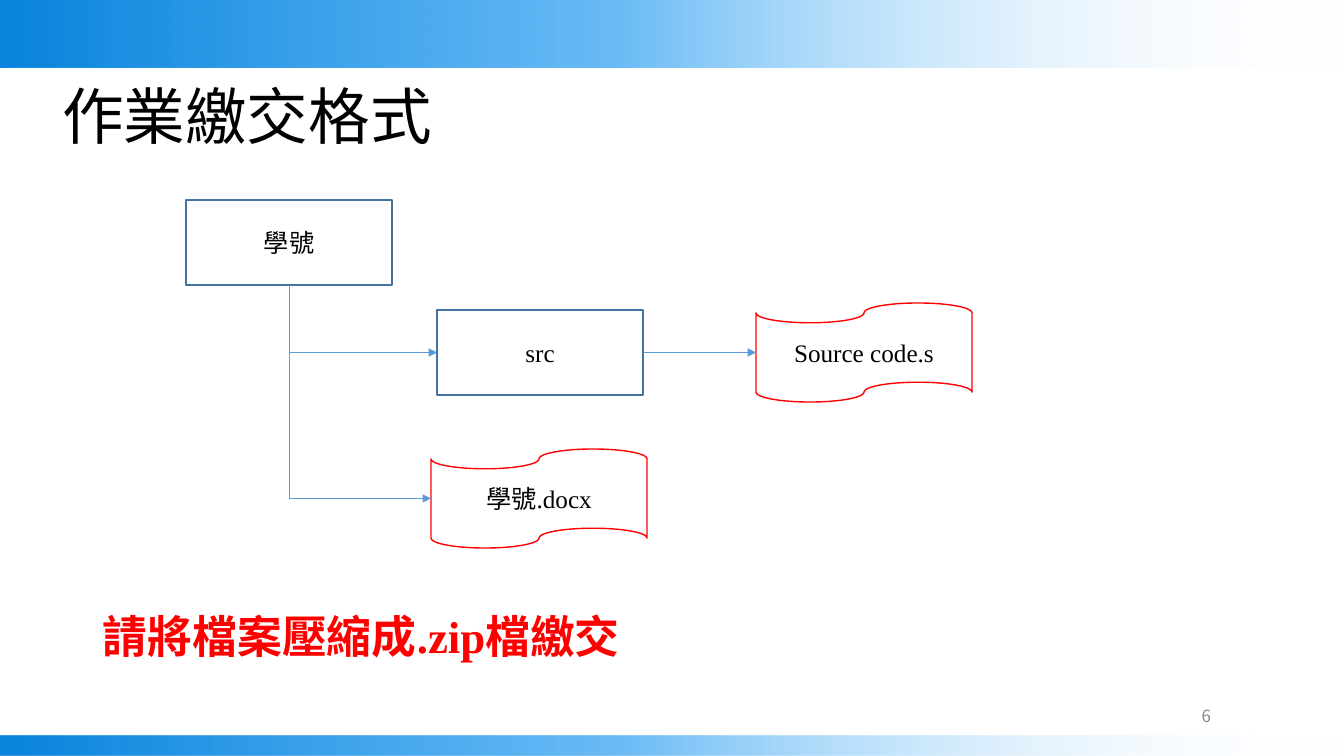
from lxml import etree
from pptx import Presentation
from pptx.dml.color import RGBColor
from pptx.enum.shapes import MSO_CONNECTOR, MSO_SHAPE
from pptx.enum.text import MSO_ANCHOR, PP_ALIGN
from pptx.oxml import parse_xml
from pptx.oxml.ns import qn
from pptx.util import Emu, Pt

PIXEL = 914400 / 100.8
DRAWING_NS = "http://schemas.openxmlformats.org/drawingml/2006/main"
LATIN_FONT, CJK_FONT = "Times New Roman", "Noto Sans CJK SC"
BLACK = RGBColor(0x00, 0x00, 0x00)
GRAY = RGBColor(0x88, 0x88, 0x88)
RED = RGBColor(0xFF, 0x00, 0x00)
FOLDER_BLUE = RGBColor(0x43, 0x73, 0x9E)
ARROW_BLUE = RGBColor(0x5B, 0x9B, 0xD5)
DEEP_BLUE = RGBColor(0x0A, 0x84, 0xDC)
BRIGHT_BLUE = RGBColor(0x13, 0x94, 0xF0)
WHITE = RGBColor(0xFF, 0xFF, 0xFF)
BAND_STOPS = [(0, DEEP_BLUE, 100), (46, BRIGHT_BLUE, 63), (100, WHITE, 0)]
RECTANGLE, TAPE = MSO_SHAPE.RECTANGLE, MSO_SHAPE.FLOWCHART_PUNCHED_TAPE
STRAIGHT, ELBOW = MSO_CONNECTOR.STRAIGHT, MSO_CONNECTOR.ELBOW
MIDDLE, TOP = MSO_ANCHOR.MIDDLE, MSO_ANCHOR.TOP
LEFT, CENTER, RIGHT = PP_ALIGN.LEFT, PP_ALIGN.CENTER, PP_ALIGN.RIGHT
LEFT_SITE, BOTTOM_SITE, RIGHT_SITE = 1, 2, 3
FOLDER_SIZE, FILE_SIZE = (206, 85), (216, 99)


def px(*lengths):
    """Turn pixels into EMU lengths."""
    return [Emu(round(length * PIXEL)) for length in lengths]


def write(frame, wording, size, color, align, anchor, bold=False, latin=LATIN_FONT):
    """Write one formatted run into a text frame."""
    frame.vertical_anchor = anchor
    paragraph = frame.paragraphs[0]
    paragraph.alignment = align
    run = paragraph.add_run()
    run.text = wording
    font = run.font
    font.size, font.bold, font.name = Pt(size), bold, latin
    font.color.rgb = color
    east_asian = etree.Element(qn("a:ea"), typeface=CJK_FONT)
    run._r.rPr.find(qn("a:latin")).addnext(east_asian)


def add_band(slide, box):
    """Draw a band that fades from blue to clear, left to right."""
    band = slide.shapes.add_shape(RECTANGLE, *px(*box))
    band.shadow.inherit = False
    band.line.fill.background()
    stops = "".join(
        f'<a:gs pos="{place * 1000}"><a:srgbClr val="{color}">'
        f'<a:alpha val="{opacity * 1000}"/></a:srgbClr></a:gs>'
        for place, color, opacity in BAND_STOPS)
    gradient = parse_xml(
        f'<a:gradFill xmlns:a="{DRAWING_NS}" rotWithShape="1">'
        f'<a:gsLst>{stops}</a:gsLst><a:lin ang="0" scaled="0"/></a:gradFill>')
    band._element.spPr.find(qn("a:prstGeom")).addnext(gradient)


def add_title(slide, box, wording):
    """Place and fill the title placeholder."""
    title = slide.shapes.title
    title.left, title.top, title.width, title.height = px(*box)
    write(title.text_frame, wording, 44, BLACK, LEFT, MIDDLE)
    title.text_frame.paragraphs[0].line_spacing = 0.9


def add_node(slide, outline, box, wording, color):
    """Draw one outlined folder or file."""
    node = slide.shapes.add_shape(outline, *px(*box))
    node.shadow.inherit = False
    node.fill.background()
    node.line.color.rgb, node.line.width = color, Pt(1)
    write(node.text_frame, wording, 18, BLACK, CENTER, MIDDLE)
    return node


def add_arrow(slide, kind, parent, site, child):
    """Join a parent to the left side of its child with an arrow."""
    arrow = slide.shapes.add_connector(kind, 0, 0, 0, 0)
    arrow.begin_connect(parent, site)
    arrow.end_connect(child, LEFT_SITE)
    arrow.line.color.rgb, arrow.line.width = ARROW_BLUE, Pt(0.5)
    etree.SubElement(arrow.line._get_or_add_ln(), qn("a:tailEnd"), type="triangle")
    etree.SubElement(arrow._element.spPr, qn("a:effectLst"))
    return arrow


def add_branch(slide, parent, child):
    """Draw an arrow that goes down from the parent, then right to the child."""
    branch = add_arrow(slide, ELBOW, parent, BOTTOM_SITE, child)
    across, down = branch.width, branch.height
    shift = (across - down) // 2
    branch.left, branch.top = branch.left + shift, branch.top - shift
    branch.width, branch.height = down, across
    properties = branch._element.spPr
    properties.find(qn("a:prstGeom")).set("prst", "bentConnector2")
    frame = properties.find(qn("a:xfrm"))
    frame.set("rot", "16200000")
    frame.set("flipH", "1")


def add_file_tree(slide, left, top):
    """Draw the folder tree from its top left corner."""
    student = add_node(slide, RECTANGLE, (left, top, *FOLDER_SIZE), "學號", FOLDER_BLUE)
    src = add_node(slide, RECTANGLE, (left + 251, top + 110, *FOLDER_SIZE), "src", FOLDER_BLUE)
    report = add_node(slide, TAPE, (left + 245, top + 249, *FILE_SIZE), "學號.docx", RED)
    source = add_node(slide, TAPE, (left + 570, top + 103, *FILE_SIZE), "Source code.s", RED)
    for child in (src, report):
        add_branch(slide, student, child)
    add_arrow(slide, STRAIGHT, src, RIGHT_SITE, source)


def add_reminder(slide, box, wording):
    """Write the bold note on how to hand in."""
    reminder = slide.shapes.add_textbox(*px(*box)).text_frame
    reminder.word_wrap = True
    write(reminder, wording, 32, RED, LEFT, TOP, bold=True)


def add_page_number(slide, box, number):
    """Write the page number."""
    page = slide.shapes.add_textbox(*px(*box)).text_frame
    page.margin_left = page.margin_right = page.margin_top = page.margin_bottom = px(5)[0]
    write(page, number, 12, GRAY, RIGHT, MIDDLE, latin=CJK_FONT)


def main():
    """Build and save the slide."""
    deck = Presentation()
    deck.slide_width, deck.slide_height = px(1344, 756)
    slide = deck.slides.add_slide(deck.slide_layouts[5])
    add_page_number(slide, (1181, 701, 35, 30), "6")
    add_band(slide, (0, 0, 1344, 68))
    add_band(slide, (0, 736, 1344, 20))
    add_title(slide, (52, 47, 1159, 146), "作業繳交格式")
    add_file_tree(slide, 186, 200)
    add_reminder(slide, (93, 604, 763, 65), "請將檔案壓縮成.zip檔繳交")
    deck.save("out.pptx")


main()
